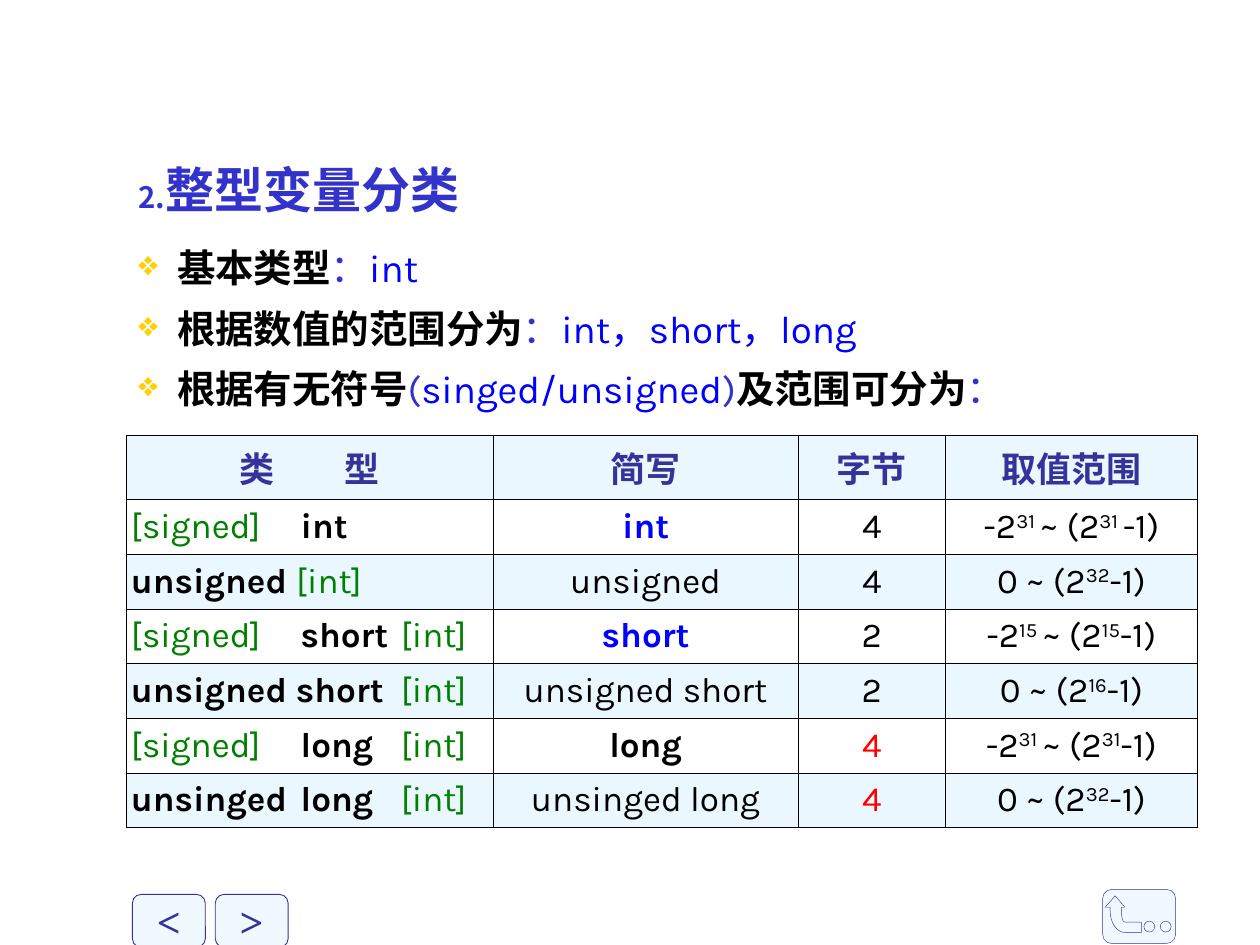
from dataclasses import dataclass

from lxml.etree import SubElement
from pptx import Presentation
from pptx.dml.color import RGBColor
from pptx.enum.shapes import MSO_SHAPE
from pptx.enum.text import MSO_ANCHOR, MSO_AUTO_SIZE, PP_ALIGN
from pptx.oxml.ns import qn
from pptx.util import Cm, Pt


@dataclass(frozen=True)
class Theme:
    """Colours, fonts and type sizes."""
    blue: str = "3333CC"
    navy: str = "333399"
    code: str = "0000FF"
    black: str = "000000"
    green: str = "008000"
    red: str = "FF0000"
    gold: str = "FFCF01"
    band: str = "D9F1FF"
    pale: str = "EFF9FF"
    font: str = "Karla"
    serif: str = "Times New Roman"
    head: int = 28
    body: int = 22
    cell: int = 20
    key: int = 24


def add(node, tag, **attrs):
    """Append a drawing element and return it."""
    return SubElement(node, qn("a:" + tag), attrs)


def curve(start, one, two, end, steps=8):
    """Return points along a cubic curve, after its start."""
    def at(t, axis):
        u = 1 - t
        return (u ** 3 * start[axis] + 3 * u * u * t * one[axis]
                + 3 * u * t * t * two[axis] + t ** 3 * end[axis])
    return [(at(n / steps, 0), at(n / steps, 1)) for n in range(1, steps + 1)]


class Deck:
    """Holds the theme and the current slide."""

    def __init__(self, theme):
        self.theme = theme
        self.file = Presentation()
        self.file.slide_width, self.file.slide_height = Cm(25.4), Cm(19.05)
        self.slide = self.file.slides.add_slide(self.file.slide_layouts[5])

    def tint(self, name):
        """Look up a theme colour."""
        return RGBColor.from_string(getattr(self.theme, name))

    def mark(self, para, tint, size, kind, indent, **attrs):
        """Give a paragraph a bullet or number."""
        props = para._p.get_or_add_pPr()
        props.set("marL", str(Cm(indent)))
        props.set("indent", str(-Cm(indent)))
        add(add(props, "buClr"), "srgbClr", val=getattr(self.theme, tint))
        add(props, "buSzPct", val=str(size * 1000))
        add(props, kind, **attrs)

    def style(self, para, size, tint=None, bold=None, font=None):
        """Set the font of a paragraph."""
        para.font.name = font or self.theme.font
        para.font.size = Pt(size)
        para.font.bold = bold
        if tint:
            para.font.color.rgb = self.tint(tint)

    def runs(self, para, parts, size=None):
        """Add runs of text, colour and weight."""
        for text, tint, bold in parts:
            run = para.add_run()
            run.text = text
            run.font.color.rgb = self.tint(tint)
            run.font.bold = bold
            if size:
                run.font.size = Pt(size)

    def place(self, shape, left, top, width, height):
        """Move and size a shape."""
        shape.left, shape.top = Cm(left), Cm(top)
        shape.width, shape.height = Cm(width), Cm(height)

    def title(self, text, start, *box):
        """Fill the numbered title."""
        shape = self.slide.shapes.title
        self.place(shape, *box)
        frame = shape.text_frame
        frame.text = text
        frame.auto_size = MSO_AUTO_SIZE.NONE
        frame.vertical_anchor = MSO_ANCHOR.TOP
        para = frame.paragraphs[0]
        self.mark(para, "blue", 60, "buAutoNum", 0.25,
                  type="arabicPeriod", startAt=str(start))
        para.alignment, para.line_spacing = PP_ALIGN.LEFT, 1.1
        self.style(para, self.theme.head, "blue", True)

    def bullets(self, items, *box):
        """Add a bulleted list."""
        frame = self.slide.shapes.add_textbox(*map(Cm, box)).text_frame
        frame.word_wrap = True
        for n, parts in enumerate(items):
            para = frame.add_paragraph() if n else frame.paragraphs[0]
            self.mark(para, "gold", 90, "buChar", 0.78, char="❖")
            para.line_spacing = 1.1
            if n:
                para.space_before = Pt(5.5)
            self.style(para, self.theme.body)
            self.runs(para, parts, self.theme.body)

    def cell(self, cell, parts, band, left):
        """Fill and border one table cell."""
        cell.margin_left = cell.margin_right = Cm(0.1)
        cell.vertical_anchor = MSO_ANCHOR.MIDDLE
        props = cell._tc.get_or_add_tcPr()
        for side in ("lnL", "lnR", "lnT", "lnB"):
            line = add(props, side, w=str(Pt(0.45)))
            add(add(line, "solidFill"), "srgbClr", val=self.theme.black)
        if band:
            cell.fill.solid()
            cell.fill.fore_color.rgb = self.tint("band")
            add(props.find(qn("a:solidFill"))[0], "alpha", val="50000")
        else:
            cell.fill.background()
        para = cell.text_frame.paragraphs[0]
        if left:
            tabs = add(para._p.get_or_add_pPr(), "tabLst")
            for stop in (3.42, 5.44):
                add(tabs, "tab", pos=str(Cm(stop)), algn="l")
        para.alignment = PP_ALIGN.LEFT if left else PP_ALIGN.CENTER
        self.style(para, self.theme.cell)
        self.runs(para, parts)
        return para

    def table(self, heads, rows, widths, left, top, first, tall):
        """Add the table of types."""
        count = len(rows) + 1
        grid = self.slide.shapes.add_table(
            count, len(widths), Cm(left), Cm(top),
            Cm(sum(widths)), Cm(first + tall * len(rows))).table
        grid.first_row = grid.horz_banding = False
        for col, width in zip(grid.columns, widths):
            col.width = Cm(width)
        for n, row in enumerate(grid.rows):
            row.height = Cm(tall if n else first)
        for n, parts in enumerate(heads):
            self.cell(grid.cell(0, n), parts, True, False)
        for r, (kind, short, size, span) in enumerate(rows, 1):
            power = [(text, "black", False) for text in span.split("^")]
            for c, parts in enumerate((kind, [short], [size], power)):
                para = self.cell(grid.cell(r, c), parts, r % 2 == 0, c == 0)
                if c == 3:
                    for run in para.runs[1::2]:
                        run.font._element.set("baseline", "30000")
        return grid

    def paint(self, shape, weight):
        """Apply the pale button look."""
        shape.shadow.inherit = False
        shape.fill.solid()
        shape.fill.fore_color.rgb = self.tint("pale")
        shape.line.color.rgb = self.tint("navy")
        shape.line.width = Pt(weight)

    def shape(self, kind, weight, *box, text=None):
        """Add a preset shape with an optional label."""
        shape = self.slide.shapes.add_shape(kind, *map(Cm, box))
        self.paint(shape, weight)
        if text:
            frame = shape.text_frame
            frame.text, frame.word_wrap = text, False
            frame.vertical_anchor = MSO_ANCHOR.MIDDLE
            para = frame.paragraphs[0]
            para.alignment = PP_ALIGN.CENTER
            self.style(para, self.theme.key, "navy", True, self.theme.serif)

    def arrow(self, points, weight):
        """Add a closed outline."""
        spots = [(Cm(x), Cm(y)) for x, y in points]
        pen = self.slide.shapes.build_freeform(*spots[0])
        pen.add_line_segments(spots[1:], close=True)
        self.paint(pen.convert_to_shape(), weight)


def main():
    """Build the slide."""
    deck = Deck(Theme())
    deck.title("整型变量分类", 2, 2.54, 2.97, 21.59, 1.7)
    colon = ("：", "blue", False)
    deck.bullets([
        [("基本类型", "black", True), colon, ("int", "code", False)],
        [("根据数值的范围分为", "black", True), colon,
         ("int，short，long", "code", False)],
        [("根据有无符号", "black", True), ("(", "blue", False),
         ("singed/unsigned", "code", False), (")", "blue", False),
         ("及范围可分为", "black", True), colon],
    ], 2.54, 4.71, 21.59, 3.8)

    sign, whole = ("[signed]\t", "green", False), ("[int]", "green", False)
    four, two = ("4", "black", False), ("2", "black", False)
    hot = ("4", "red", False)
    rows = [
        ([sign, ("int", "black", True)], ("int", "code", True), four,
         "-2^31 ^~ (2^31 ^-1)"),
        ([("unsigned ", "black", True), whole], ("unsigned", "black", False),
         four, "0 ~ (2^32^-1)"),
        ([sign, ("short\t", "black", True), whole], ("short", "code", True),
         two, "-2^15 ^~ (2^15^-1)"),
        ([("unsigned short\t", "black", True), whole],
         ("unsigned short", "black", False), two, "0 ~ (2^16^-1)"),
        ([sign, ("long\t", "black", True), whole], ("long", "black", True),
         hot, "-2^31 ^~ (2^31^-1)"),
        ([("unsinged\tlong\t", "black", True), whole],
         ("unsinged long", "black", False), hot, "0 ~ (2^32^-1)"),
    ]
    heads = [[(text, "navy", True)] for text in ("简写", "字节", "取值范围")]
    heads.insert(0, [("类　", "navy", True), ("型", "navy", True)])
    grid = deck.table(heads, rows, (7.4, 6.15, 2.97, 5.08),
                      2.54, 8.78, 1.29, 1.08)
    wide = grid.cell(0, 0).text_frame.paragraphs[0].runs[0]
    wide.font._element.set("spc", "1000")

    deck.shape(MSO_SHAPE.ROUNDED_RECTANGLE, 0.25, 22.23, 17.93, 1.47, 1.09)
    bend = curve((22.68, 18.8), (22.53, 18.8), (22.38, 18.62), (22.38, 18.36))
    inner = curve((22.61, 18.36), (22.61, 18.5), (22.63, 18.59), (22.68, 18.59))
    deck.arrow([(23.01, 18.8), (22.68, 18.8), *bend, (22.38, 18.29),
                (22.28, 18.29), (22.48, 18.06), (22.68, 18.29),
                (22.61, 18.29), (22.61, 18.36), *inner, (23.01, 18.59)], 0.25)
    for left in (23.06, 23.39):
        deck.shape(MSO_SHAPE.OVAL, 0.25, left, 18.57, 0.22, 0.22)
    for left, text in ((4.34, ">"), (2.67, "<")):
        deck.shape(MSO_SHAPE.ROUNDED_RECTANGLE, 0.5, left, 18.03, 1.47, 1.07,
                   text=text)
    deck.file.save("out.pptx")


if __name__ == "__main__":
    main()
